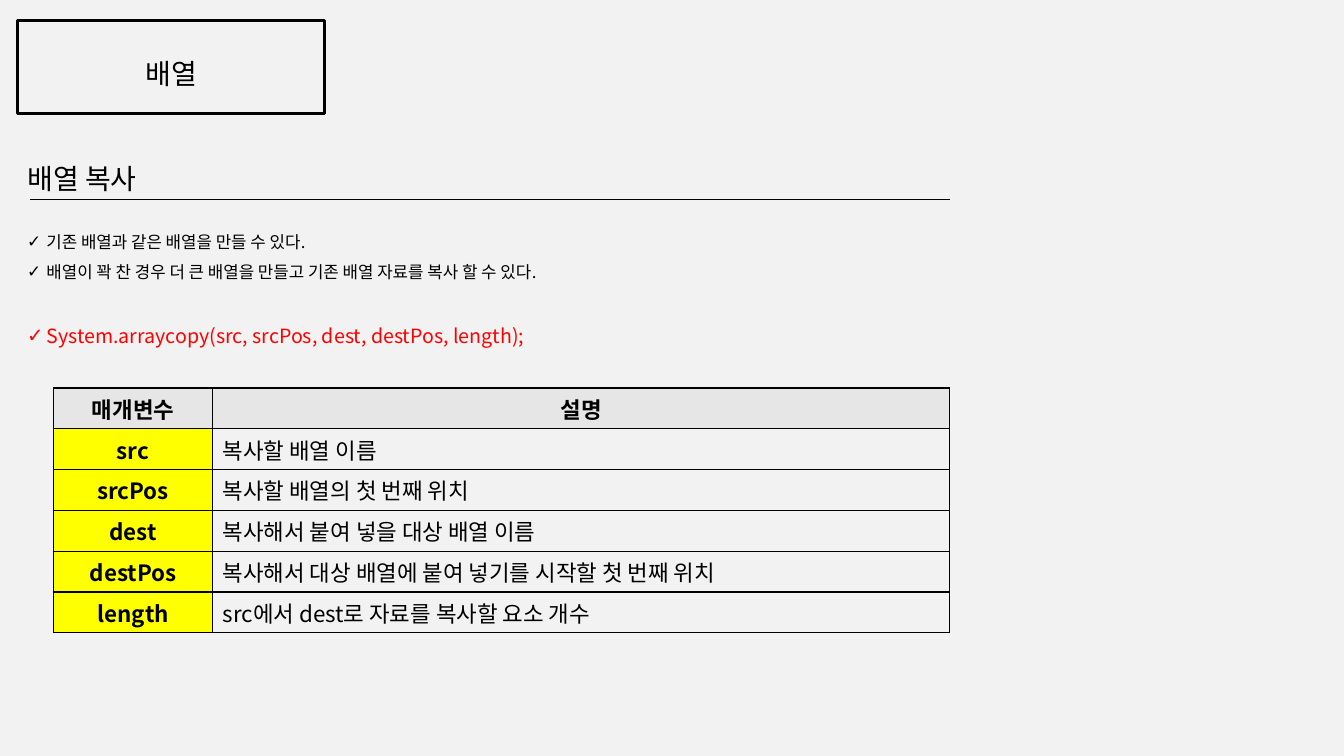
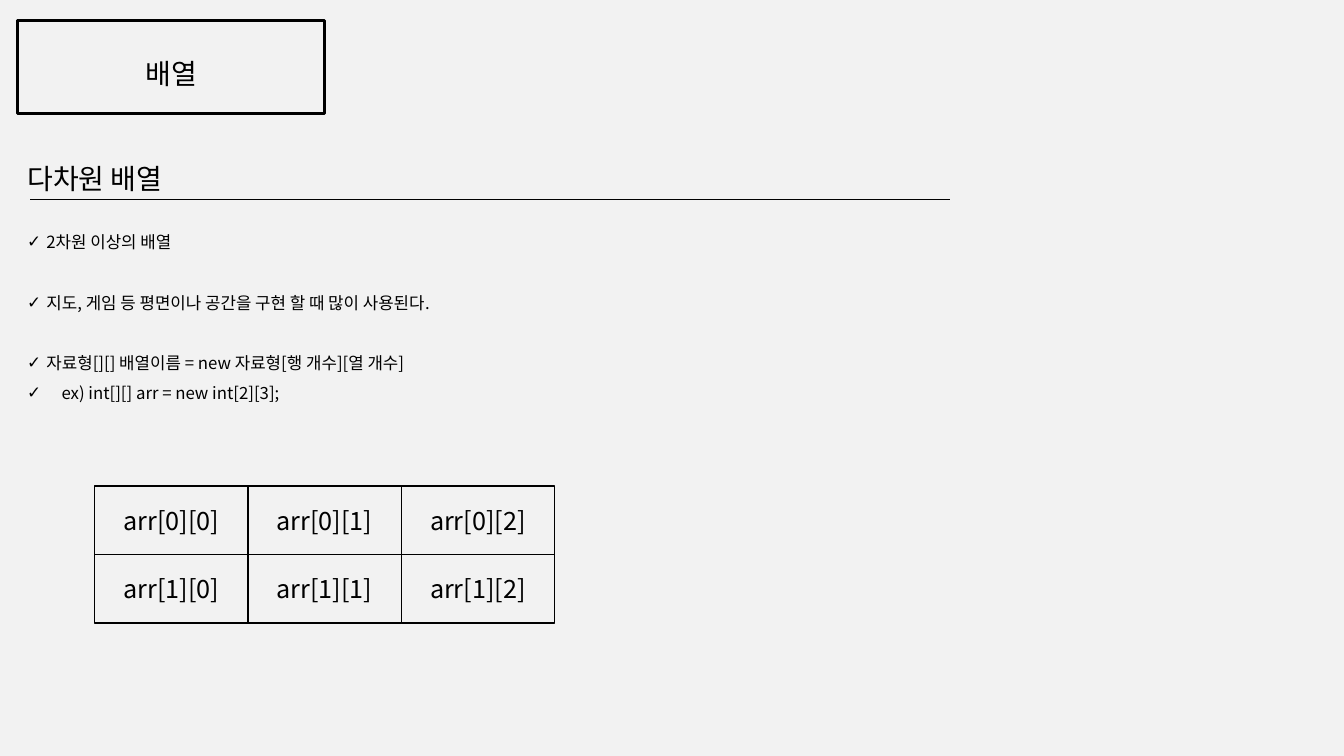
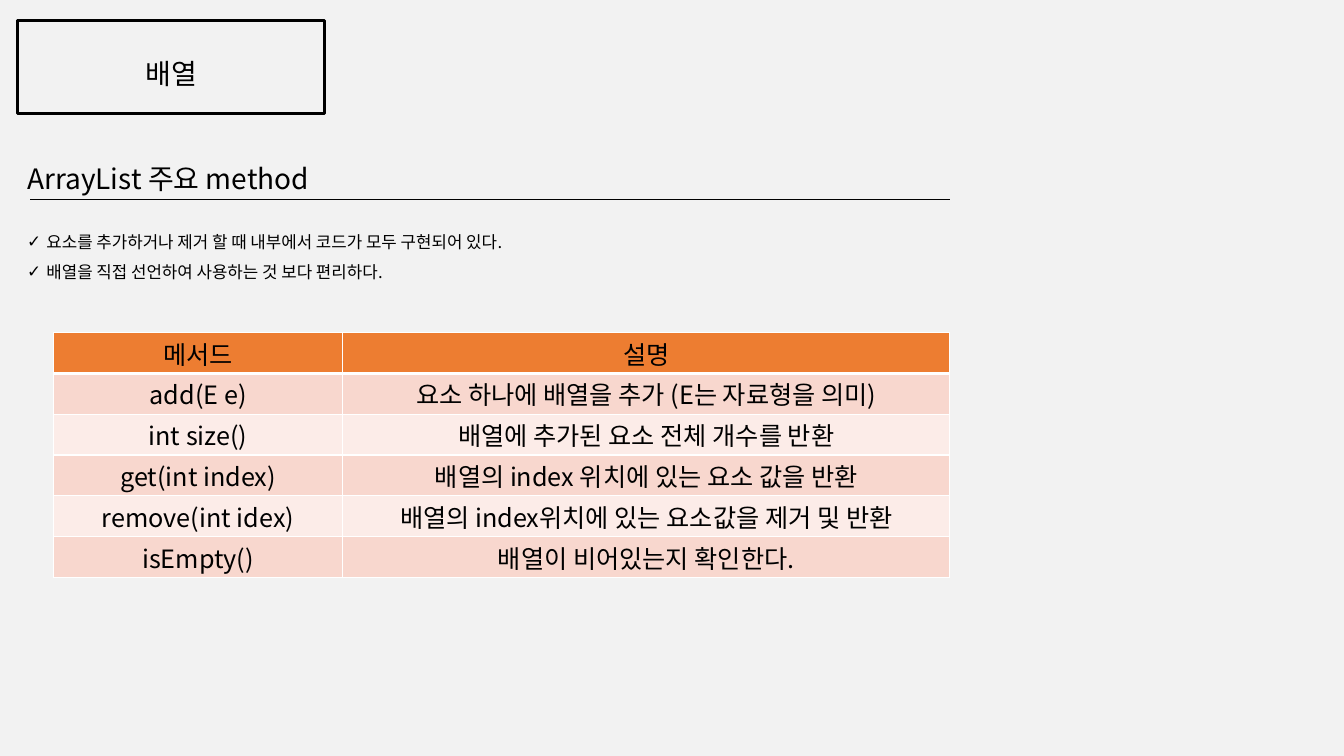
from lxml.etree import SubElement
from pptx import Presentation
from pptx.dml.color import RGBColor
from pptx.enum.shapes import MSO_CONNECTOR as CONN, MSO_SHAPE as SHAPE
from pptx.enum.text import MSO_ANCHOR as ANCHOR, MSO_AUTO_SIZE as AUTO, PP_ALIGN as ALIGN
from pptx.oxml.ns import qn
from pptx.util import Emu, Pt

# Shared look
PX = 9144  # 100 px to the inch
FONT = "Noto Sans CJK KR"
COLORS = {
    "page": "F2F2F2", "ink": "000000", "red": "FF0000", "white": "FFFFFF",
    "gray": "E7E6E6", "yellow": "FFFF00",
    "orange": "ED7D31", "peach": "F8D7CE", "blush": "FCECE8",
}
BLANK_LINE = 21.6


def px(n):
    return Emu(n * PX)


def rgb(name):
    return RGBColor.from_string(COLORS[name])


# Text
def write(p, text, size=18, color="ink", bold=False, align=ALIGN.CENTER, pitch=None):
    """Fill a paragraph; pitch is a fixed line height in points."""
    p.alignment = align
    if pitch:
        p.line_spacing = Pt(pitch)
    r = p.add_run()
    r.text = text
    r.font.size = Pt(size)
    r.font.bold = bold
    r.font.color.rgb = rgb(color)
    r.font.name = FONT
    SubElement(r.font._element, qn("a:ea")).set("typeface", FONT)


def frame(shape, anchor):
    tf = shape.text_frame
    tf.word_wrap = True
    tf.auto_size = AUTO.NONE
    tf.vertical_anchor = anchor
    return tf


def place(shape, x, y, w, h):
    shape.left, shape.top, shape.width, shape.height = map(px, (x, y, w, h))


def add_check(p, hang):
    pPr = p._p.get_or_add_pPr()
    pPr.set("marL", str(px(hang)))
    pPr.set("indent", str(-px(hang)))
    SubElement(pPr, qn("a:buChar")).set("char", "✓")


# Shapes
def add_box(s, x, y, w, h, line):
    sp = s.shapes.add_shape(SHAPE.RECTANGLE, *map(px, (x, y, w, h)))
    sp.shadow.inherit = False
    sp.fill.background()
    sp.line.color.rgb = rgb("ink")
    sp.line.width = Pt(line)
    return sp


def add_rule(s, x1, x2, y):
    rule = s.shapes.add_connector(CONN.STRAIGHT, px(x1), px(y), px(x2), px(y))
    rule.line.color.rgb = rgb("ink")
    rule.line.width = Pt(1.25)
    SubElement(rule._element.spPr, qn("a:effectLst"))


# Tables
def set_borders(cell, color, bottom):
    tcPr = cell._tc.get_or_add_tcPr()
    for i, side in enumerate("LRTB"):
        ln = SubElement(tcPr, qn("a:ln" + side))
        ln.set("w", str(Pt(bottom if side == "B" else 1)))
        fill = SubElement(ln, qn("a:solidFill"))
        SubElement(fill, qn("a:srgbClr")).set("val", COLORS[color])
        tcPr.insert(i, ln)


def add_grid(s, y, widths, rows, style, border, header_line=1):
    """style(row, col) gives the fill name (or None) and the text format."""
    height = px(243)
    shape = s.shapes.add_table(len(rows), len(widths), px(53), px(y), px(sum(widths)), height)
    table = shape.table
    table.first_row = table.horz_banding = False
    for col, width in zip(table.columns, widths):
        col.width = px(width)
    for i, texts in enumerate(rows):
        table.rows[i].height = height // len(rows)
        for j, text in enumerate(texts):
            cell = table.cell(i, j)
            cell.vertical_anchor = ANCHOR.MIDDLE
            cell.margin_top = cell.margin_bottom = px(2)
            fill, fmt = style(i, j)
            if fill:
                cell.fill.solid()
                cell.fill.fore_color.rgb = rgb(fill)
            else:
                cell.fill.background()
            write(cell.text_frame.paragraphs[0], text, **fmt)
            set_borders(cell, border, header_line if i == 0 else 1)


def parameter_style(row, col):
    if row and col:
        return None, dict(size=16, align=ALIGN.LEFT)
    return ("yellow" if row else "gray"), dict(size=16, bold=True)


def method_style(row, col):
    if row == 0:
        return "orange", {}
    return ("peach" if row % 2 else "blush"), {}


# Slide skeleton: chapter box, heading, rule, checked list
def add_topic(prs, heading, height, items):
    """Each item is its text and a dict with gap, hang, size or color."""
    s = prs.slides.add_slide(prs.slide_layouts[1])
    title, body = s.placeholders
    place(title, 17, 155, 546, 44)
    write(frame(title, ANCHOR.TOP).paragraphs[0], heading, size=20, align=ALIGN.LEFT, pitch=24)

    place(body, 17, 215, 945, height)
    tf = frame(body, ANCHOR.TOP)
    for i, (text, opts) in enumerate(items):
        p = tf.add_paragraph() if i else tf.paragraphs[0]
        size = opts.get("size", 12)
        p.space_before = Pt(opts.get("gap", 0))
        p.space_after = Pt(0)
        write(p, text, size=size, color=opts.get("color", "ink"),
              align=ALIGN.JUSTIFY, pitch=size * 1.8)
        add_check(p, opts.get("hang", 19))

    chapter = s.shapes.add_textbox(*map(px, (25, 51, 290, 44)))
    write(frame(chapter, ANCHOR.MIDDLE).paragraphs[0], "배열", size=20, pitch=24)
    add_box(s, 17, 20, 305, 93, 2)
    add_rule(s, 30, 942, 198)
    return s


# Slides
def add_copy_slide(prs):
    s = add_topic(prs, "배열 복사", 132, [
        ("기존 배열과 같은 배열을 만들 수 있다.", {}),
        ("배열이 꽉 찬 경우 더 큰 배열을 만들고 기존 배열 자료를 복사 할 수 있다.", {}),
        ("System.arraycopy(src, srcPos, dest, destPos, length);",
         dict(gap=BLANK_LINE, size=14, color="red")),
    ])
    add_grid(s, 385, (158, 731), [
        ("매개변수", "설명"),
        ("src", "복사할 배열 이름"),
        ("srcPos", "복사할 배열의 첫 번째 위치"),
        ("dest", "복사해서 붙여 넣을 대상 배열 이름"),
        ("destPos", "복사해서 대상 배열에 붙여 넣기를 시작할 첫 번째 위치"),
        ("length", "src에서 dest로 자료를 복사할 요소 개수"),
    ], parameter_style, "ink")


def add_dimension_slide(prs):
    s = add_topic(prs, "다차원 배열", 188, [
        ("2차원 이상의 배열", {}),
        ("지도, 게임 등 평면이나 공간을 구현 할 때 많이 사용된다.", dict(gap=BLANK_LINE)),
        ("자료형[][] 배열이름 = new 자료형[행 개수][열 개수]", dict(gap=BLANK_LINE)),
        ("ex) int[][] arr = new int[2][3];", dict(hang=34)),
    ])
    w, h = 152, 68
    for row in range(2):
        for col in range(3):
            box = add_box(s, 94 + col * w, 482 + row * h, w, h, 1)
            write(frame(box, ANCHOR.MIDDLE).paragraphs[0], f"arr[{row}][{col}]")


def add_method_slide(prs):
    s = add_topic(prs, "ArrayList 주요 method", 67, [
        ("요소를 추가하거나 제거 할 때 내부에서 코드가 모두 구현되어 있다.", {}),
        ("배열을 직접 선언하여 사용하는 것 보다 편리하다.", {}),
    ])
    add_grid(s, 330, (287, 602), [
        ("메서드", "설명"),
        ("add(E e)", "요소 하나에 배열을 추가 (E는 자료형을 의미)"),
        ("int size()", "배열에 추가된 요소 전체 개수를 반환"),
        ("get(int index)", "배열의 index 위치에 있는 요소 값을 반환"),
        ("remove(int idex)", "배열의 index위치에 있는 요소값을 제거 및 반환"),
        ("isEmpty()", "배열이 비어있는지 확인한다."),
    ], method_style, "white", header_line=3)


def main():
    prs = Presentation()
    prs.slide_width, prs.slide_height = px(1333), px(750)
    page = prs.slide_master.background.fill
    page.solid()
    page.fore_color.rgb = rgb("page")
    add_copy_slide(prs)
    add_dimension_slide(prs)
    add_method_slide(prs)
    prs.save("out.pptx")


if __name__ == "__main__":
    main()
